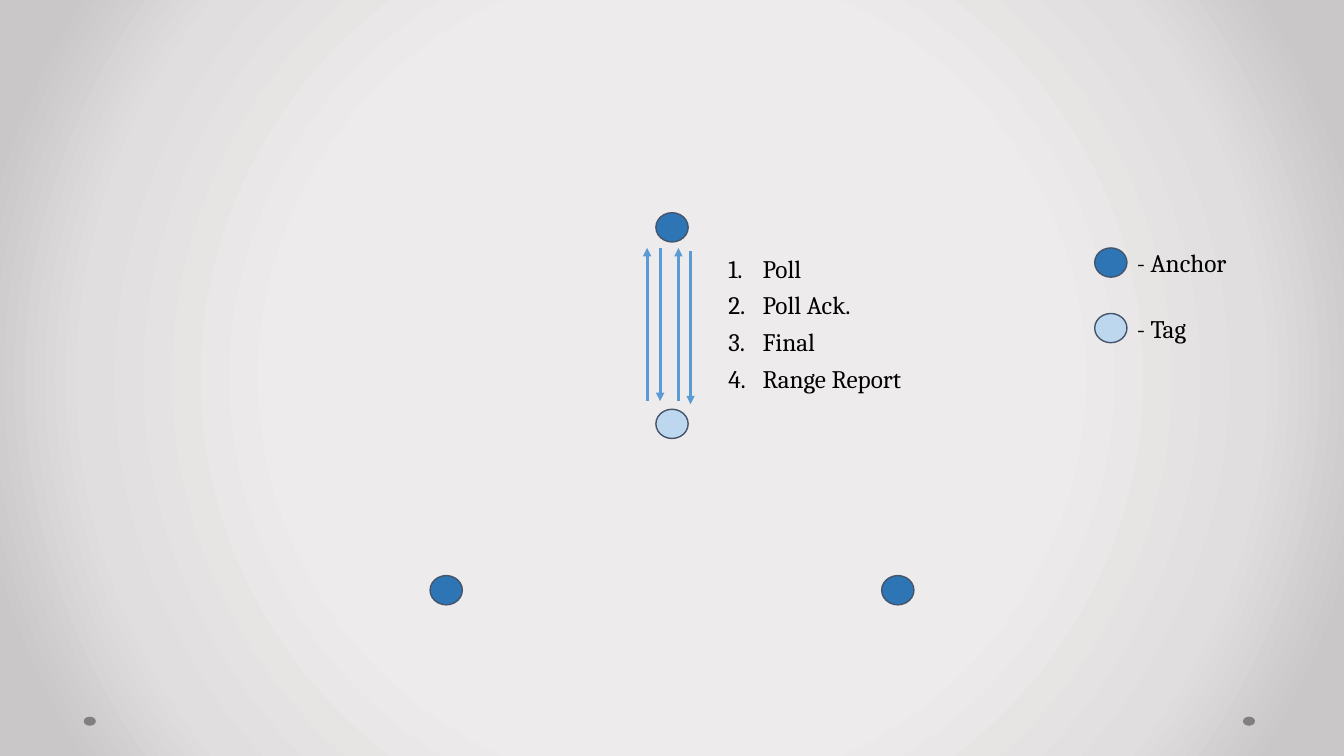
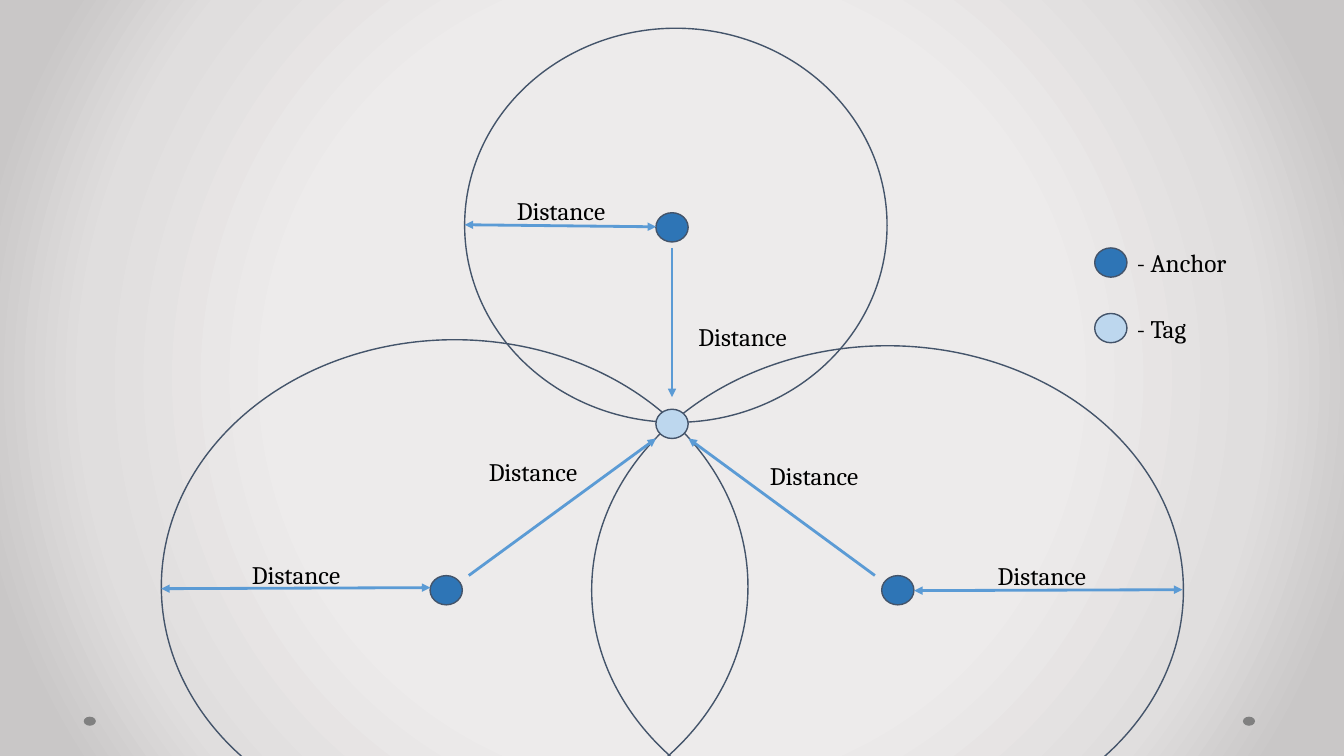
from lxml import etree
from pptx import Presentation
from pptx.dml.color import RGBColor
from pptx.enum.shapes import MSO_CONNECTOR, MSO_SHAPE
from pptx.enum.text import MSO_AUTO_SIZE
from pptx.oxml import parse_xml
from pptx.oxml.ns import nsdecls, qn
from pptx.util import Inches, Pt

OVAL = MSO_SHAPE.OVAL
STRAIGHT = MSO_CONNECTOR.STRAIGHT
GROW = MSO_AUTO_SIZE.SHAPE_TO_FIT_TEXT

# Grid: 100 columns by 100 rows
WIDTH, HEIGHT = Inches(13.333), Inches(7.5)
COL, ROW = WIDTH / 100, HEIGHT / 100

# Shared style
ANCHOR = RGBColor(0x2E, 0x75, 0xB6)
TAG = RGBColor(0xBD, 0xD7, 0xEE)
OUTLINE = RGBColor(0x44, 0x54, 0x6A)
ARROW = RGBColor(0x5B, 0x9B, 0xD5)
DOT = RGBColor(0x80, 0x80, 0x80)
BLACK = RGBColor(0, 0, 0)
BACKDROP = ((50, RGBColor(0xED, 0xEB, 0xEB)),
            (76, RGBColor(0xE0, 0xDE, 0xDE)),
            (92, RGBColor(0xC9, 0xC7, 0xC7)))
FONT, SIZE = "Cambria", Pt(18)

# Shared layout, as (column, row)
NODE_W, NODE_H = 2.4, 3.87
LABEL_W, LABEL_H = 16.12, 5.33
ANCHORS = ((50, 30.07), (33.2, 78.07), (66.8, 78.07))
TAG_AT = (50, 56.07)
LEGEND = (("- Anchor", ANCHOR, 34.73), ("- Tag", TAG, 43.4))
LEGEND_X = 82.65

# Slide 1: message exchange
MESSAGES = ("Poll", "Poll Ack.", "Final", "Range Report")
LIST_X, LIST_Y, LIST_STEP = 53.45, 32.8, 4.87
EXCHANGE = ((48.15, 53.07, 32.8), (49.12, 32.8, 53.07),
            (50.48, 53.07, 32.8), (51.38, 33.2, 53.47))

# Slide 2: range circles, arrows to the tag, radii, label corners
RANGES = ((33.83, 77.6, 43.65, 65.33),
          (66.04, 78.07, 44.03, 64.67),
          (50.29, 29.8, 31.43, 52.13))
TO_TAG = (((34.88, 76.13), (48.82, 58)),
          ((65.1, 76.13), (51.22, 58)),
          ((50, 32.8), (50, 52.53)))
RADII = (((68.02, 78.13), (87.98, 78)),
         ((32.02, 77.73), (12, 77.87)),
         ((48.82, 30), (34.58, 29.73)))
DISTANCES = ((56.55, 60.27), (35.63, 59.73), (18, 73.33),
             (37.72, 25.2), (51.22, 41.87), (73.5, 73.47))


def cols(n):
    return round(n * COL)


def rows(n):
    return round(n * ROW)


def set_backdrop(master):
    """Radial gradient behind every slide."""
    fill = master.background.fill
    fill.gradient()
    stops = "".join(
        f'<a:gs pos="{pos * 1000}"><a:srgbClr val="{color}"/></a:gs>'
        for pos, color in BACKDROP)
    radial = parse_xml(
        f'<a:gradFill {nsdecls("a")} rotWithShape="1"><a:gsLst>{stops}</a:gsLst>'
        '<a:path path="circle"><a:fillToRect l="50000" t="50000" r="50000" b="50000"/>'
        '</a:path></a:gradFill>')
    old = next(master.element.iter(qn("a:gradFill")))
    old.getparent().replace(old, radial)


def add_ellipse(s, x, y, w, h, fill=None, line=None):
    """Ellipse centred on (x, y)."""
    sp = s.shapes.add_shape(OVAL, cols(x - w / 2), rows(y - h / 2), cols(w), rows(h))
    sp.shadow.inherit = False
    if fill is None:
        sp.fill.background()
    else:
        sp.fill.solid()
        sp.fill.fore_color.rgb = fill
    if line is None:
        sp.line.fill.background()
    else:
        sp.line.color.rgb = line
        sp.line.width = Pt(1)


def add_node(s, x, y, fill):
    add_ellipse(s, x, y, NODE_W, NODE_H, fill, OUTLINE)


def add_label(s, x, y, text, w=LABEL_W, number=None):
    """Text box with its corner at (x, y), numbered on request."""
    tf = s.shapes.add_textbox(cols(x), rows(y), cols(w), rows(LABEL_H)).text_frame
    tf.word_wrap = True
    tf.auto_size = GROW
    p = tf.paragraphs[0]
    if number:
        pPr = p._p.get_or_add_pPr()
        indent = cols(2.55)
        pPr.set("marL", str(indent))
        pPr.set("indent", str(-indent))
        etree.SubElement(pPr, qn("a:buFont"), typeface="+mj-lt")
        etree.SubElement(pPr, qn("a:buAutoNum"), type="arabicPeriod", startAt=str(number))
    r = p.add_run()
    r.text = text
    r.font.name, r.font.size = FONT, SIZE
    r.font.color.rgb = BLACK


def add_arrow(s, start, end, both=False):
    (x1, y1), (x2, y2) = start, end
    line = s.shapes.add_connector(STRAIGHT, cols(x1), rows(y1), cols(x2), rows(y2))
    line.line.color.rgb = ARROW
    line.line.width = Pt(2)
    ln = line.line._get_or_add_ln()
    for tag in ("a:headEnd", "a:tailEnd") if both else ("a:tailEnd",):
        etree.SubElement(ln, qn(tag), type="triangle")
    etree.SubElement(line._element.spPr, qn("a:effectLst"))


def add_slide(prs):
    """Blank slide with the two footer dots."""
    s = prs.slides.add_slide(prs.slide_layouts[6])
    for x in (92.93, 6.68):
        add_ellipse(s, x, 95.4, 0.9, 1.2, DOT)
    return s


def add_network(s):
    """Three anchors, the tag and the legend."""
    for x, y in ANCHORS:
        add_node(s, x, y, ANCHOR)
    add_node(s, *TAG_AT, TAG)
    for text, fill, y in LEGEND:
        add_node(s, LEGEND_X, y, fill)
        add_label(s, LEGEND_X + NODE_W / 2, y - LABEL_H / 2, text, w=9.9)


def build_exchange(prs):
    s = add_slide(prs)
    add_network(s)
    for x, start, end in EXCHANGE:
        add_arrow(s, (x, start), (x, end))
    for i, message in enumerate(MESSAGES):
        add_label(s, LIST_X, LIST_Y + i * LIST_STEP, message, number=i + 1)


def build_ranging(prs):
    s = add_slide(prs)
    for x, y, w, h in RANGES:
        add_ellipse(s, x, y, w, h, line=OUTLINE)
    add_network(s)
    for start, end in TO_TAG:
        add_arrow(s, start, end)
    for start, end in RADII:
        add_arrow(s, start, end, both=True)
    for x, y in DISTANCES:
        add_label(s, x, y, "Distance")


def main():
    prs = Presentation()
    prs.slide_width, prs.slide_height = WIDTH, HEIGHT
    set_backdrop(prs.slide_master)
    build_exchange(prs)
    build_ranging(prs)
    prs.save("out.pptx")


main()
